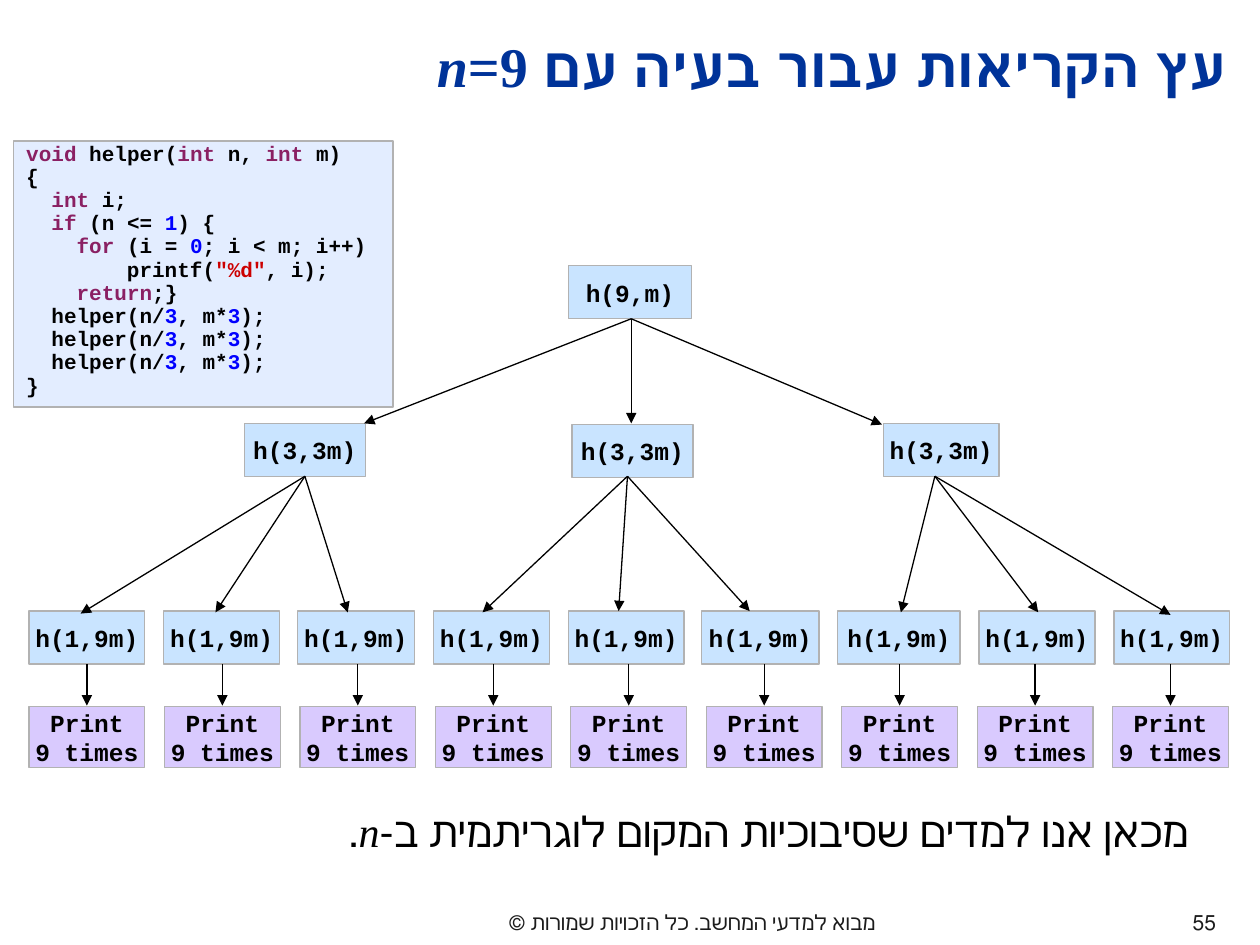
from dataclasses import dataclass

from lxml import etree
from pptx import Presentation
from pptx.dml.color import RGBColor
from pptx.enum.shapes import MSO_CONNECTOR, MSO_SHAPE
from pptx.enum.text import MSO_ANCHOR, PP_ALIGN
from pptx.oxml.ns import qn
from pptx.util import Inches, Pt

STRAIGHT = MSO_CONNECTOR.STRAIGHT
RECTANGLE = MSO_SHAPE.RECTANGLE
MIDDLE, TOP = MSO_ANCHOR.MIDDLE, MSO_ANCHOR.TOP
LEFT, CENTER, RIGHT = PP_ALIGN.LEFT, PP_ALIGN.CENTER, PP_ALIGN.RIGHT
TITLE_ONLY = 5


@dataclass(frozen=True)
class Theme:
    sans: str = "Arial"
    serif: str = "Times New Roman"
    mono: str = "Courier New"
    title: str = "003399"
    text: str = "000000"
    footer: str = "1C1C1C"
    border: str = "B2B2B2"
    call: str = "C9E4FF"
    output: str = "D9CAFE"
    code: str = "E3EDFF"
    keyword: str = "8A2063"
    number: str = "0000FF"
    string: str = "CC0000"
    title_size: int = 32
    body_size: int = 24
    node_size: int = 14
    small_size: int = 12
    line_width: float = 0.75


CODE = [
    "void |helper(|int |n, |int |m)",
    "{",
    "  |int |i;",
    "  |if |(n <= |1|) {",
    "    |for |(i = |0|; i < m; i++)",
    '        |printf(|"%d"|, i);',
    "    |return|;}",
    *["  |helper(n/|3|, m*|3|);"] * 3,
    "}",
]
KEYWORDS = {"void", "int", "if", "for", "return"}

ROOT_BOX = (4.51, 2.11, 0.98, 0.42)
MIDDLE_BOXES = [(1.94, 3.36, 0.96, 0.42), (4.54, 3.37, 0.96, 0.42), (7.01, 3.36, 0.92, 0.42)]
LEAF_COLUMNS = [(0.23, 0.92), (1.3, 0.92), (2.36, 0.93), (3.44, 0.92), (4.51, 0.92),
                (5.57, 0.93), (6.65, 0.97), (7.77, 0.92), (8.84, 0.92)]
BRANCHES = [
    ((5.01, 2.53), [(2.89, 3.36), (5.01, 3.36), (7, 3.37)]),
    ((2.42, 3.78), [(0.64, 4.87), (1.71, 4.86), (2.76, 4.86)]),
    ((4.98, 3.78), [(3.83, 4.86), (4.91, 4.85), (5.95, 4.85)]),
    ((7.42, 3.78), [(7.15, 4.86), (8.24, 4.86), (9.29, 4.88)]),
]
PRINT_LEFT, PRINT_RIGHTMOST = 0.23, 8.83
PRINT_STEP = (PRINT_RIGHTMOST - PRINT_LEFT) / (len(LEAF_COLUMNS) - 1)
LEAF_TOP, PRINT_TOP = 4.85, 5.61


class SlideBuilder:
    """Draws styled elements on the current slide."""

    def __init__(self, slide, theme):
        self.slide = slide
        self.theme = theme

    def fill_text(self, frame, paragraphs, base, layout, rtl=False):
        for index, runs in enumerate(paragraphs):
            paragraph = frame.paragraphs[0] if index == 0 else frame.add_paragraph()
            for name, value in layout.items():
                setattr(paragraph, name, value)
            if rtl:
                paragraph._p.get_or_add_pPr().set("rtl", "1")
            for text, changes in runs:
                run = paragraph.add_run()
                run.text = text
                values = {**base, **changes}
                run.font.color.rgb = RGBColor.from_string(values.pop("color"))
                for name, value in values.items():
                    setattr(run.font, name, value)

    def title(self, box, runs):
        shape = self.slide.shapes.title
        for name, value in zip(("left", "top", "width", "height"), box):
            setattr(shape, name, Inches(value))
        shape.text_frame.vertical_anchor = MIDDLE
        base = {"name": self.theme.sans, "size": Pt(self.theme.title_size),
                "bold": True, "color": self.theme.title}
        self.fill_text(shape.text_frame, [runs], base, {"alignment": RIGHT}, rtl=True)

    def label(self, box, runs, size, color, alignment, space=0):
        frame = self.slide.shapes.add_textbox(*map(Inches, box)).text_frame
        frame.word_wrap = True
        frame.vertical_anchor = TOP
        base = {"name": self.theme.sans, "size": Pt(size), "color": color}
        layout = {"alignment": alignment, "space_before": Pt(space)}
        self.fill_text(frame, [runs], base, layout, rtl=True)

    def panel(self, box, fill, paragraphs, size, layout, wrap):
        shape = self.slide.shapes.add_shape(RECTANGLE, *map(Inches, box))
        shape.shadow.inherit = False
        shape.fill.solid()
        shape.fill.fore_color.rgb = RGBColor.from_string(fill)
        shape.line.color.rgb = RGBColor.from_string(self.theme.border)
        shape.line.width = Pt(self.theme.line_width)
        frame = shape.text_frame
        frame.word_wrap = wrap
        frame.vertical_anchor = MIDDLE
        base = {"name": self.theme.mono, "size": Pt(size), "bold": True,
                "color": self.theme.text}
        self.fill_text(frame, paragraphs, base, layout)

    def node(self, box, fill, *lines):
        paragraphs = [[(line, {})] for line in lines]
        self.panel(box, fill, paragraphs, self.theme.node_size, {"alignment": CENTER}, False)

    def code(self, box, lines):
        paragraphs = [[(token, {"color": self.token_color(token)}) for token in line.split("|")]
                      for line in lines]
        layout = {"alignment": LEFT, "line_spacing": 0.4, "space_before": Pt(7.5)}
        self.panel(box, self.theme.code, paragraphs, self.theme.small_size, layout, True)

    def token_color(self, token):
        if token.strip() in KEYWORDS:
            return self.theme.keyword
        if token.isdigit():
            return self.theme.number
        return self.theme.string if token.startswith('"') else self.theme.text

    def arrow(self, start, end):
        connector = self.slide.shapes.add_connector(STRAIGHT, *map(Inches, (*start, *end)))
        connector.line.color.rgb = RGBColor.from_string(self.theme.text)
        connector.line.width = Pt(self.theme.line_width)
        line = connector._element.spPr.find(qn("a:ln"))
        etree.SubElement(line, qn("a:tailEnd"), type="triangle")
        etree.SubElement(connector._element.spPr, qn("a:effectLst"))


def main():
    theme = Theme()
    presentation = Presentation()
    presentation.slide_width, presentation.slide_height = Inches(10), Inches(7.5)
    slide = presentation.slides.add_slide(presentation.slide_layouts[TITLE_ONLY])
    builder = SlideBuilder(slide, theme)
    variable = ("n", {"name": theme.serif, "italic": True})

    builder.title((1.58, 0.07, 8.26, 0.9),
                  [("עץ הקריאות עבור בעיה עם ", {}), variable, ("=9", {"name": theme.serif})])
    builder.code((0.11, 1.12, 3.01, 2.11), CODE)

    builder.node(ROOT_BOX, theme.call, "h(9,m)")
    for box in MIDDLE_BOXES:
        builder.node(box, theme.call, "h(3,3m)")
    for index, (left, width) in enumerate(LEAF_COLUMNS):
        print_left = PRINT_LEFT + index * PRINT_STEP
        center = print_left + 0.46
        builder.node((left, LEAF_TOP, width, 0.42), theme.call, "h(1,9m)")
        builder.node((print_left, PRINT_TOP, 0.92, 0.48), theme.output, "Print", "9 times")
        builder.arrow((center, LEAF_TOP + 0.42), (center, PRINT_TOP - 0.01))
    for start, ends in BRANCHES:
        for end in ends:
            builder.arrow(start, end)

    builder.label((1.02, 6.34, 8.51, 0.5),
                  [("מכאן אנו למדים שסיבוכיות המקום לוגריתמית ב-", {}), variable, (".", {})],
                  theme.body_size, theme.text, RIGHT, space=15)
    builder.label((1.83, 7.17, 7.33, 0.33), [("מבוא למדעי המחשב. כל הזכויות שמורות ©", {})],
                  theme.small_size, theme.footer, CENTER)
    builder.label((9.25, 7.17, 0.5, 0.33), [("55", {})],
                  theme.small_size, theme.footer, RIGHT)
    presentation.save("out.pptx")


if __name__ == "__main__":
    main()
